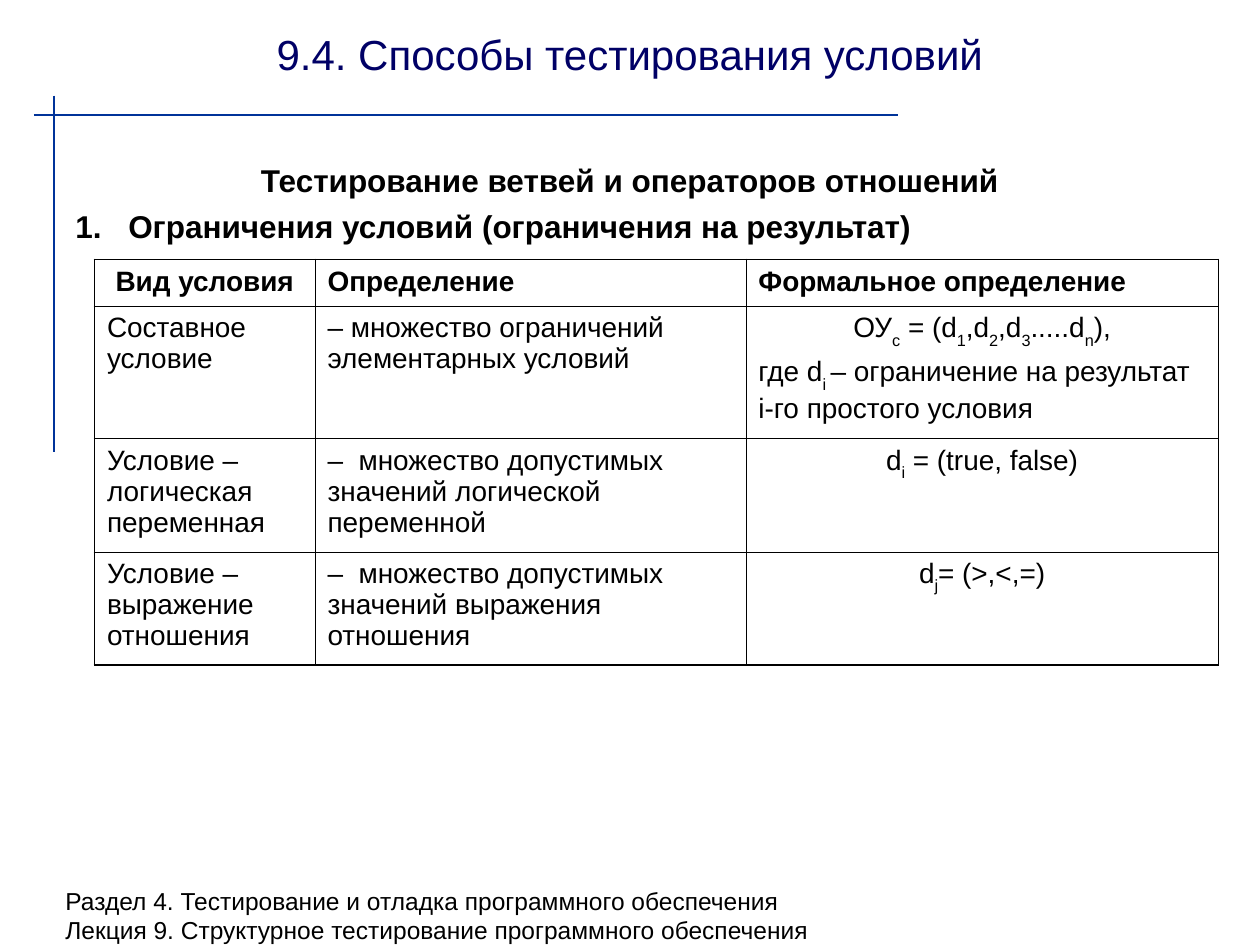
"""Build the slide on ways of testing conditions, with a table of constraints."""
from lxml import etree
from pptx import Presentation
from pptx import util as u
from pptx.dml.color import RGBColor
from pptx.enum import shapes, text
from pptx.oxml.ns import qn

W, H = 10, 7.5
FONT = "Arial"
COLORS = {"text": "000000", "title": "000066", "rule": "003399"}
LEFT, CENTER = text.PP_ALIGN.LEFT, text.PP_ALIGN.CENTER

TITLE = "9.4. Способы тестирования условий"
HEADING = "Тестирование ветвей и операторов отношений"
POINT = "Ограничения условий (ограничения на результат)"
FOOTER = [
    "Раздел 4. Тестирование и отладка программного обеспечения",
    "Лекция 9. Структурное тестирование программного обеспечения",
]
HEADER = ["Вид условия", "Определение", "Формальное определение"]
# Every second run of a formula is a subscript.
CONDITIONS = [
    ("Составное условие", "– множество ограничений элементарных условий",
     [(CENTER, ["ОУ", "с", " = (d", "1", ",d", "2", ",d", "3", ".....d", "n", "),"]),
      (LEFT, ["где d", "i ", "– ограничение на результат i-го простого условия"])]),
    ("Условие – логическая переменная",
     "–  множество допустимых значений логической переменной",
     [(CENTER, ["d", "i", " = (true, false)"])]),
    ("Условие – выражение отношения",
     "–  множество допустимых значений выражения отношения",
     [(CENTER, ["d", "j", "= (>,<,=)"])]),
]
RULES = [(0.27, 0.91, 7.13, 0.91), (0.43, 0.76, 0.43, 3.59)]
TABLE_AT = (0.75, 2.06)
COLS = [1.75, 3.42, 3.75]
ROWS = [0.37, 1.05, 0.9, 0.9]
OUTER, INNER = 1.08, 0.45


def add_paragraph(tf, runs, size, align=LEFT, before=0, bold=False, color="text"):
    p = tf.paragraphs[0]
    if p.runs:
        p = tf.add_paragraph()
    p.alignment = align
    p.space_before = u.Pt(before)
    for i, part in enumerate(runs):
        r = p.add_run()
        r.text = part
        r.font.name, r.font.size, r.font.bold = FONT, u.Pt(size), bold
        r.font.color.rgb = RGBColor.from_string(COLORS[color])
        if i % 2:
            r.font._element.set("baseline", "-30000")
    return p


def add_box(slide, x, y, w, h, anchor=text.MSO_ANCHOR.TOP):
    tf = slide.shapes.add_textbox(*map(u.Inches, (x, y, w, h))).text_frame
    tf.word_wrap = True
    tf.vertical_anchor = anchor
    return tf


def add_rule(slide, ends):
    line = slide.shapes.add_connector(
        shapes.MSO_CONNECTOR.STRAIGHT, *map(u.Inches, ends))
    line.line.color.rgb = RGBColor.from_string(COLORS["rule"])
    line.line.width = u.Pt(1)
    etree.SubElement(line._element.spPr, qn("a:effectLst"))


def set_hanging(p, numbered=False):
    pPr = p._p.get_or_add_pPr()
    pPr.set("marL", str(u.Inches(0.42)))
    pPr.set("indent", str(-u.Inches(0.42)))
    if numbered:
        clr = etree.SubElement(pPr, qn("a:buClr"))
        etree.SubElement(clr, qn("a:srgbClr"), val=COLORS["text"])
        etree.SubElement(pPr, qn("a:buAutoNum"), type="arabicPeriod")
    else:
        etree.SubElement(pPr, qn("a:buNone"))


def set_borders(cell, row, col):
    cell.fill.background()
    tcPr = cell._tc.get_or_add_tcPr()
    outer = {"L": col == 0, "R": col == len(COLS) - 1,
             "T": row == 0, "B": row == len(ROWS) - 1}
    for i, (side, is_outer) in enumerate(outer.items()):
        ln = etree.Element(qn(f"a:ln{side}"), w=str(u.Pt(OUTER if is_outer else INNER)))
        fill = etree.SubElement(ln, qn("a:solidFill"))
        etree.SubElement(fill, qn("a:srgbClr"), val=COLORS["text"])
        tcPr.insert(i, ln)


def add_conditions(slide):
    frame = slide.shapes.add_table(
        len(ROWS), len(COLS), *map(u.Inches, (*TABLE_AT, sum(COLS), sum(ROWS))))
    table = frame.table
    table.first_row = table.horz_banding = False
    for column, width in zip(table.columns, COLS):
        column.width = u.Inches(width)
    for row, height in zip(table.rows, ROWS):
        row.height = u.Inches(height)
    for i, values in enumerate([HEADER, *CONDITIONS]):
        for j, value in enumerate(values):
            cell = table.cell(i, j)
            if isinstance(value, str):
                value = [(CENTER if i == j == 0 else LEFT, [value])]
            for align, runs in value:
                add_paragraph(cell.text_frame, runs, 16, align, 4, bold=i == 0)
            set_borders(cell, i, j)


def main():
    prs = Presentation()
    prs.slide_width, prs.slide_height = u.Inches(W), u.Inches(H)
    s = prs.slides.add_slide(prs.slide_layouts[6])
    for ends in RULES:
        add_rule(s, ends)
    footer = add_box(s, 0.42, 6.98, 9.25, 0.52)
    for line in FOOTER:
        add_paragraph(footer, [line], 14)
    title = add_box(s, 0.5, 0.08, 9, 0.69, text.MSO_ANCHOR.MIDDLE)
    add_paragraph(title, [TITLE], 24, CENTER, color="title")
    body = add_box(s, 0.5, 1.23, 9, 5.47)
    set_hanging(add_paragraph(body, [HEADING], 18, CENTER, 4.5, True))
    set_hanging(add_paragraph(body, [POINT], 18, LEFT, 4.5, True), numbered=True)
    add_conditions(s)
    prs.save("out.pptx")


if __name__ == "__main__":
    main()
